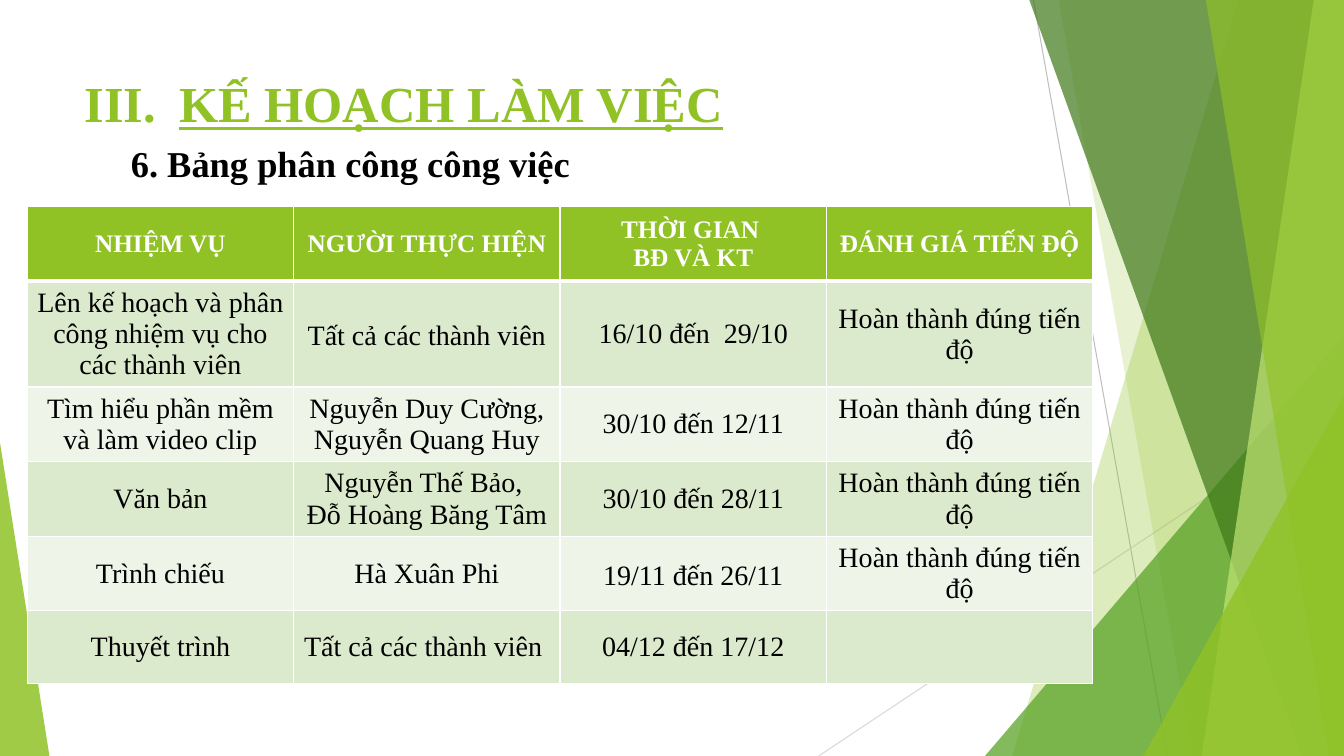
from dataclasses import dataclass

from lxml.etree import SubElement
from pptx import Presentation
from pptx.dml.color import RGBColor
from pptx.enum.shapes import MSO_CONNECTOR, MSO_SHAPE
from pptx.enum.text import MSO_ANCHOR, PP_ALIGN
from pptx.oxml.ns import qn
from pptx.util import Inches, Pt

SLIDE_WIDTH, SLIDE_HEIGHT = Inches(13.33), Inches(7.5)


@dataclass(frozen=True)
class Theme:
    font: str = "Times New Roman"
    lime: str = "90C226"
    pale_lime: str = "C0E474"
    green: str = "54A021"
    forest: str = "3F7819"
    band_dark: str = "DBE9CD"
    band_light: str = "EEF4E8"
    black: str = "000000"
    white: str = "FFFFFF"
    grey: str = "BFBFBF"
    light_grey: str = "D9D9D9"
    title_size: int = 36
    subtitle_size: int = 26
    header_size: int = 18
    body_size: int = 20


THEME = Theme()

# Lines: start and end as percent of the slide, colour
LINES = [
    (76.9, 0, 86.87, 100, THEME.grey),
    (100, 53.73, 60.92, 100, THEME.light_grey),
]
# Shards reach the right edge: top x, bottom x, colour, opacity
BACK_SHARDS = [
    (92.12, 75.32, THEME.lime, 30),
    (78.77, 88.75, THEME.lime, 20),
]
FRONT_SHARDS = [
    (76.59, 96.85, THEME.forest, 70),
    (97.75, 89.42, THEME.pale_lime, 70),
    (89.72, 98.87, THEME.lime, 65),
]

ROW_HEIGHTS = [9.87, 14, 9.87, 9.87, 9.87, 9.6]
ON_TIME = "Hoàn thành đúng tiến độ"
TASKS = [
    ["NHIỆM VỤ", "NGƯỜI THỰC HIỆN", "THỜI GIAN \nBĐ VÀ KT", "ĐÁNH GIÁ TIẾN ĐỘ"],
    ["Lên kế hoạch và phân công nhiệm vụ cho các thành viên",
     "Tất cả các thành viên", "16/10 đến  29/10", ON_TIME],
    ["Tìm hiểu phần mềm và làm video clip",
     "Nguyễn Duy Cường, Nguyễn Quang Huy", "30/10 đến 12/11", ON_TIME],
    ["Văn bản", "Nguyễn Thế Bảo, \vĐỗ Hoàng Băng Tâm", "30/10 đến 28/11", ON_TIME],
    ["Trình chiếu", "Hà Xuân Phi", "19/11 đến 26/11", ON_TIME],
    ["Thuyết trình", "Tất cả các thành viên ", "04/12 đến 17/12", ""],
]
LOOSE_CELLS = {(1, 1), (4, 2)}  # cells with wider line spacing


def across(percent):
    return round(SLIDE_WIDTH * percent / 100)


def down(percent):
    return round(SLIDE_HEIGHT * percent / 100)


def paint(shape, color, opacity):
    shape.shadow.inherit = False
    shape.line.fill.background()
    shape.fill.solid()
    shape.fill.fore_color.rgb = RGBColor.from_string(color)
    color_element = shape.fill._xPr.find(qn("a:solidFill"))[0]
    SubElement(color_element, qn("a:alpha"), val=str(opacity * 1000))


def style_font(paragraph, size, color, bold):
    font = paragraph.font
    font.name, font.size, font.bold = THEME.font, Pt(size), bold
    font.color.rgb = RGBColor.from_string(color)


def add_line(slide, x1, y1, x2, y2, color):
    line = slide.shapes.add_connector(
        MSO_CONNECTOR.STRAIGHT, across(x1), down(y1), across(x2), down(y2))
    line.line.width = Pt(0.75)
    line.line.color.rgb = RGBColor.from_string(color)
    SubElement(line._element.spPr, qn("a:effectLst"))


def add_shard(slide, top_x, bottom_x, color, opacity):
    builder = slide.shapes.build_freeform(across(top_x), 0)
    builder.add_line_segments(
        [(SLIDE_WIDTH, 0), (SLIDE_WIDTH, SLIDE_HEIGHT), (across(bottom_x), SLIDE_HEIGHT)])
    paint(builder.convert_to_shape(), color, opacity)


def add_corner(slide, left, top, width, apex, color, opacity):
    corner = slide.shapes.add_shape(
        MSO_SHAPE.ISOSCELES_TRIANGLE, across(left), down(top), across(width), down(100 - top))
    corner.adjustments[0] = apex
    paint(corner, color, opacity)


def add_text(slide, text, left, top, width, height, size, color):
    box = slide.shapes.add_textbox(across(left), down(top), across(width), down(height))
    box.text_frame.word_wrap = True
    paragraph = box.text_frame.paragraphs[0]
    paragraph.text = text
    style_font(paragraph, size, color, True)
    return paragraph


def number_heading(paragraph, start):
    """Hang a Roman numeral in front of the heading and underline its words."""
    paragraph.font.underline = True
    properties = paragraph._p.get_or_add_pPr()
    indent = Inches(0.94)
    properties.set("marL", str(indent))
    properties.set("indent", str(-indent))
    number = SubElement(
        properties, qn("a:buAutoNum"), type="romanUcPeriod", startAt=str(start))
    properties.insert(0, number)


def add_borders(cell, top, bottom):
    properties = cell._tc.get_or_add_tcPr()
    for side, points in (("L", 1), ("R", 1), ("T", top), ("B", bottom)):
        border = SubElement(properties, qn(f"a:ln{side}"), w=str(Pt(points)))
        fill = SubElement(border, qn("a:solidFill"))
        SubElement(fill, qn("a:srgbClr"), val=THEME.white)


def fill_cell(cell, text, row, loose):
    header = row == 0
    add_borders(cell, top=3 if row == 1 else 1, bottom=3 if header else 1)
    band = THEME.band_dark if row % 2 else THEME.band_light
    cell.fill.solid()
    cell.fill.fore_color.rgb = RGBColor.from_string(THEME.lime if header else band)
    cell.vertical_anchor = MSO_ANCHOR.MIDDLE
    cell.text_frame.text = text
    if loose:
        cell.margin_left = cell.margin_right = Inches(0.07)
        cell.margin_top = cell.margin_bottom = 0
    for paragraph in cell.text_frame.paragraphs:
        paragraph.alignment = PP_ALIGN.CENTER
        if loose:
            paragraph.line_spacing = 1.15
        if header:
            style_font(paragraph, THEME.header_size, THEME.white, True)
        else:
            style_font(paragraph, THEME.body_size, THEME.black, False)


def add_task_table(slide, left, top, width):
    table = slide.shapes.add_table(
        len(TASKS), len(TASKS[0]), across(left), down(top),
        across(width), down(sum(ROW_HEIGHTS))).table
    for row, (height, texts) in enumerate(zip(ROW_HEIGHTS, TASKS)):
        table.rows[row].height = down(height)
        for column, text in enumerate(texts):
            fill_cell(table.cell(row, column), text, row, (row, column) in LOOSE_CELLS)


def main():
    presentation = Presentation()
    presentation.slide_width, presentation.slide_height = SLIDE_WIDTH, SLIDE_HEIGHT
    slide = presentation.slides.add_slide(presentation.slide_layouts[6])

    # Faceted backdrop, back to front
    for line in LINES:
        add_line(slide, *line)
    for shard in BACK_SHARDS:
        add_shard(slide, *shard)
    add_corner(slide, 73.29, 44.4, 26.71, 1, THEME.green, 72)
    for shard in FRONT_SHARDS:
        add_shard(slide, *shard)
    add_corner(slide, 85.07, 52.4, 14.93, 1, THEME.lime, 80)
    add_corner(slide, 0, 58.53, 3.68, 0, THEME.lime, 85)

    # Work plan
    add_task_table(slide, 2.03, 27.33, 79.29)

    # Headings
    heading = add_text(slide, "KẾ HOẠCH LÀM VIỆC", 5.55, 8.93, 70.5, 12.93,
                       THEME.title_size, THEME.lime)
    number_heading(heading, 3)
    add_text(slide, "6. Bảng phân công công việc", 9, 18, 35.33, 7.2,
             THEME.subtitle_size, THEME.black)

    presentation.save("out.pptx")


if __name__ == "__main__":
    main()
